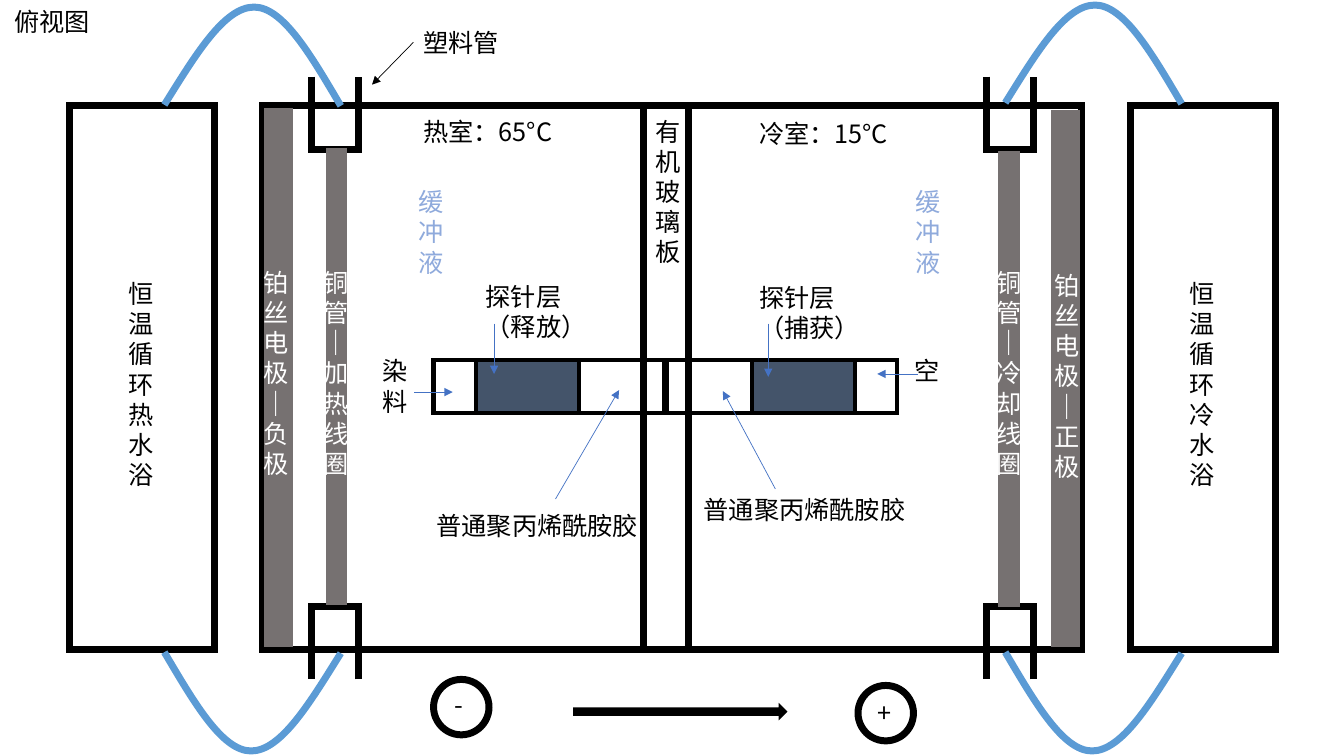
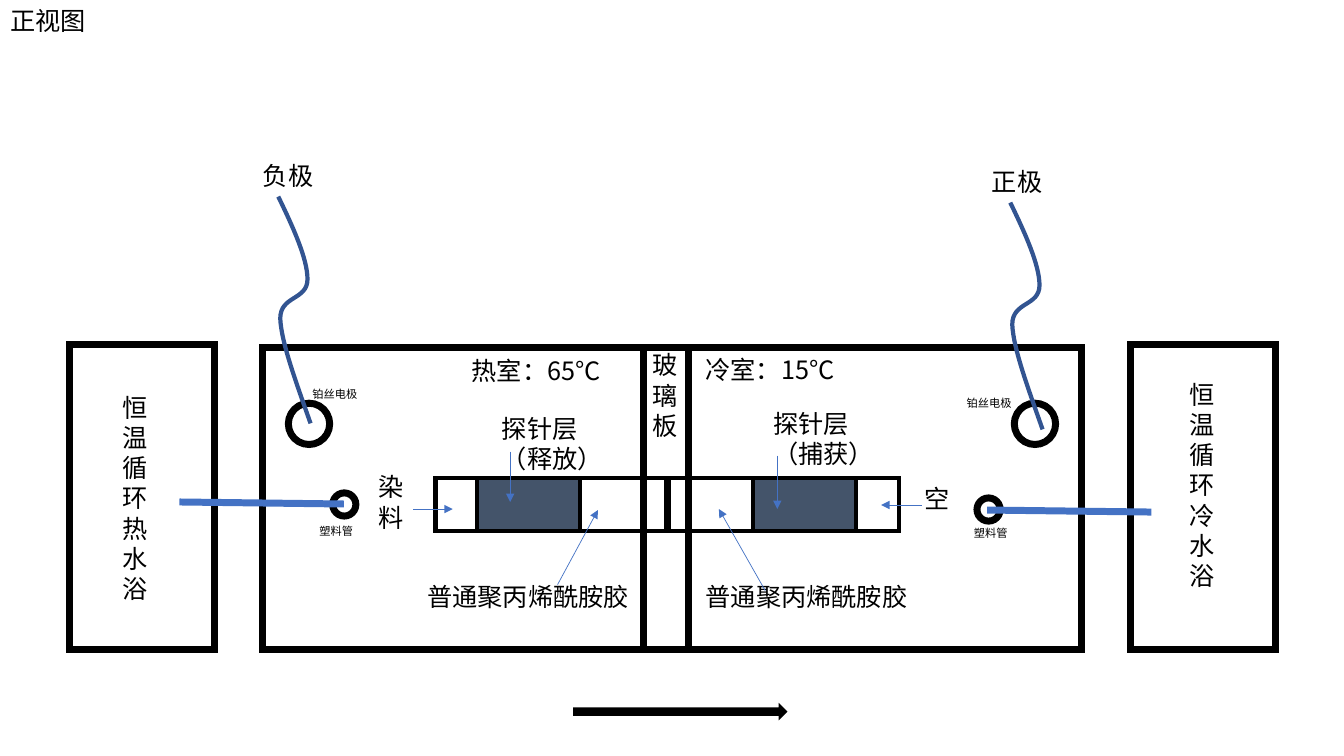
import dataclasses
import typing

import lxml.etree
import pptx
import pptx.dml.color
import pptx.enum.shapes
import pptx.enum.text
import pptx.oxml.ns
import pptx.util

PX = 9144
FONT = "Noto Sans CJK SC"
BLACK = pptx.dml.color.RGBColor(0x00, 0x00, 0x00)
WHITE = pptx.dml.color.RGBColor(0xFF, 0xFF, 0xFF)
GRAY = pptx.dml.color.RGBColor(0x76, 0x71, 0x71)
SLATE = pptx.dml.color.RGBColor(0x44, 0x54, 0x6A)
BLUE = pptx.dml.color.RGBColor(0x44, 0x72, 0xC4)
SKY = pptx.dml.color.RGBColor(0x5B, 0x9B, 0xD5)
PALE = pptx.dml.color.RGBColor(0x8F, 0xAA, 0xDC)
NAVY = pptx.dml.color.RGBColor(0x32, 0x54, 0x91)
RGB = pptx.dml.color.RGBColor
SHAPE = pptx.enum.shapes.MSO_SHAPE
Point = tuple[int, int]

ARCH = [(0, 97), (30, 49), (59, 0), (89, 0), (118, 0), (146, 49), (175, 98)]
WIRE = [(32, 225), (18, 185), (3, 145), (2, 121), (2, 98),
        (29, 103), (29, 82), (29, 62), (15, 31), (0, 0)]
PIPE = [(0, 0), (0, 72), (47, 72), (47, 0)]


@dataclasses.dataclass
class Box:
    x: int
    y: int
    w: int
    h: int
    weight: float = 5
    line: RGB = BLACK
    fill: RGB | None = None
    kind: SHAPE = SHAPE.RECTANGLE


@dataclasses.dataclass
class Label:
    text: str
    x: int
    y: int
    size: int = 18
    color: RGB = BLACK
    upright: bool = False


@dataclasses.dataclass
class Line:
    start: Point
    end: Point
    color: RGB = BLUE
    weight: float = 0.5
    arrow: bool = True


@dataclasses.dataclass
class Outline:
    points: list[Point]
    x: int
    y: int
    color: RGB = BLACK
    weight: float = 5
    curved: bool = True
    turned: bool = False


Item = Box | Label | Line | Outline


def px(n: float) -> pptx.util.Emu:
    return pptx.util.Emu(round(n * PX))


def qn(tag: str) -> str:
    return pptx.oxml.ns.qn(tag)


def write(sp: typing.Any, paragraphs: list[str], *, size: int, color: RGB) -> None:
    tf = sp.text_frame
    tf.word_wrap = False
    tf.auto_size = pptx.enum.text.MSO_AUTO_SIZE.SHAPE_TO_FIT_TEXT
    tf.vertical_anchor = pptx.enum.text.MSO_ANCHOR.TOP
    for i, text in enumerate(paragraphs):
        p = tf.add_paragraph() if i else tf.paragraphs[0]
        p.alignment = pptx.enum.text.PP_ALIGN.LEFT
        p.line_spacing = pptx.util.Pt(size * 1.2)
        p.space_before = pptx.util.Pt(0)
        r = p.add_run()
        r.text = text
        r.font.size = pptx.util.Pt(size)
        r.font.color.rgb = color
        r.font.name = FONT
        lxml.etree.SubElement(r.font._element, qn("a:ea"), typeface=FONT)


def place(sp: typing.Any, x: int, y: int, w: float, h: float) -> None:
    sp.left, sp.top, sp.width, sp.height = px(x), px(y), px(w), px(h)


def stroke(sp: typing.Any, color: RGB, weight: float) -> typing.Any:
    sp.line.color.rgb = color
    sp.line.width = pptx.util.Pt(weight)
    ln = sp._element.spPr.find(qn("a:ln"))
    lxml.etree.SubElement(ln, qn("a:miter"), lim="800000")
    return ln


def draw_box(s: typing.Any, b: Box) -> None:
    sp = s.shapes.add_shape(b.kind, px(b.x), px(b.y), px(b.w), px(b.h))
    sp.shadow.inherit = False
    stroke(sp, b.line, b.weight)
    if b.fill is None:
        sp.fill.background()
    else:
        sp.fill.solid()
        sp.fill.fore_color.rgb = b.fill


def draw_label(s: typing.Any, t: Label) -> None:
    paragraphs = list(t.text) if t.upright else t.text.split("\n")
    ems = max(sum(0.62 if ord(ch) < 256 else 1 for ch in p) for p in paragraphs)
    sp = s.shapes.add_textbox(0, 0, 0, 0)
    place(sp, t.x, t.y, 20 + ems * t.size * 1.4, 10 + len(paragraphs) * t.size * 1.68)
    write(sp, paragraphs, size=t.size, color=t.color)


def draw_line(s: typing.Any, item: Line) -> None:
    c = s.shapes.add_connector(pptx.enum.shapes.MSO_CONNECTOR.STRAIGHT,
                               *map(px, item.start + item.end))
    ln = stroke(c, item.color, item.weight)
    if item.arrow:
        lxml.etree.SubElement(ln, qn("a:tailEnd"), type="triangle")
    lxml.etree.SubElement(c._element.spPr, qn("a:effectLst"))


def bend(sp: typing.Any) -> None:
    segments = list(sp._element.iter(qn("a:lnTo")))
    outline = segments[0].getparent()
    for i in range(0, len(segments), 3):
        cubic = lxml.etree.SubElement(outline, qn("a:cubicBezTo"))
        for segment in segments[i:i + 3]:
            cubic.append(segment[0])
            outline.remove(segment)


def draw_outline(s: typing.Any, o: Outline) -> None:
    points = [(x + o.x, y + o.y) for x, y in o.points]
    fb = s.shapes.build_freeform(*points[0], scale=PX)
    fb.add_line_segments(points[1:], close=False)
    sp = fb.convert_to_shape()
    sp.shadow.inherit = False
    sp.fill.background()
    stroke(sp, o.color, o.weight)
    if o.curved:
        bend(sp)
    if o.turned:
        sp.rotation = 180


DRAW = {Box: draw_box, Label: draw_label, Line: draw_line, Outline: draw_outline}


def frame(bath_top: int, tank_top: int) -> list[Item]:
    bottom = 644
    return [
        Box(260, tank_top, 813, bottom - tank_top),
        *(Box(x, bath_top, 144, bottom - bath_top) for x in (69, 1121)),
        Box(638, tank_top, 45, bottom - tank_top),
        Box(569, 699, 211, 14, 1, fill=BLACK, kind=SHAPE.RIGHT_ARROW),
    ]


def gel(x: int, y: int, probe: int) -> list[Item]:
    return [
        *(Box(x + dx, y, 229, 53, 3) for dx in (231, 0)),
        *(Box(probe + dx, y, 102, 53, 3, fill=SLATE) for dx in (0, 274)),
    ]


def ring(x: int, y: int, d: int) -> Box:
    return Box(x, y, d, d, kind=SHAPE.OVAL)


def bar(x: int, y: int, w: int, h: int) -> Box:
    return Box(x, y, w, h, 1, GRAY, GRAY)


def add_view(prs: typing.Any, title: str, x: int, y: int, items: list[Item]) -> None:
    s = prs.slides.add_slide(prs.slide_layouts[5])
    place(s.shapes.title, x, y, 96, 40)
    write(s.shapes.title, [title], size=18, color=BLACK)
    for item in items:
        DRAW[type(item)](s, item)


TOP_VIEW: list[Item] = [
    *frame(105, 105),
    Label("恒温循环热水浴", 118, 271, upright=True),
    Label("恒温循环冷水浴", 1170, 271, upright=True),
    Label("有机玻璃板", 640, 110, upright=True),
    *(Outline(PIPE, x, y, curved=False, turned=y > 375)
      for y in (76, 602) for x in (309, 978)),
    Line((410, 42), (369, 84), BLACK),
    Label("塑料管", 410, 22),
    *(Outline(ARCH, x, y, SKY, turned=y > 375)
      for x, y in ((163, 7), (163, 647), (997, 647), (997, 5))),
    bar(324, 148, 20, 452),
    bar(991, 150, 20, 452),
    Label("铜管｜加热线圈", 311, 260, color=WHITE, upright=True),
    Label("铜管｜冷却线圈", 979, 260, color=WHITE, upright=True),
    Label("热室：65°C", 410, 110),
    Label("冷室：15°C", 743, 112),
    bar(263, 108, 27, 533),
    bar(1043, 110, 28, 531),
    Label("铂丝电极｜负极", 252, 260, color=WHITE, upright=True),
    Label("铂丝电极｜正极", 1036, 263, color=WHITE, upright=True),
    *gel(430, 357, 472),
    Label("探针层\n（释放）", 472, 274),
    Label("探针层\n（捕获）", 743, 275),
    Label("染料", 370, 348, upright=True),
    Label("普通聚丙烯酰胺胶", 688, 485),
    Label("普通聚丙烯酰胺胶", 423, 501),
    Label("空", 897, 348),
    Line((490, 321), (490, 371)),
    Line((551, 495), (614, 387)),
    Line((769, 485), (717, 388)),
    Line((762, 321), (762, 374)),
    Line((910, 371), (870, 371)),
    Line((411, 389), (449, 389)),
    ring(430, 674, 55),
    ring(851, 680, 55),
    Label("-", 441, 679),
    Label("+", 860, 687),
    *(Label("缓冲液", x, 180, color=PALE, upright=True) for x in (405, 898)),
]

FRONT_VIEW: list[Item] = [
    *frame(342, 345),
    Label("恒温循环热水浴", 112, 384, upright=True),
    Label("恒温循环冷水浴", 1170, 371, upright=True),
    Label("玻璃板", 637, 342, upright=True),
    *gel(432, 474, 473),
    Label("探针层\n（释放）", 488, 405),
    Label("探针层\n（捕获）", 757, 400),
    Label("染料", 366, 463, upright=True),
    Label("普通聚丙烯酰胺胶", 690, 572),
    Label("普通聚丙烯酰胺胶", 414, 572),
    Label("空", 907, 475),
    Line((506, 448), (506, 498)),
    Line((553, 580), (593, 506)),
    Line((759, 586), (713, 505)),
    Line((771, 452), (771, 505)),
    Line((914, 501), (874, 501)),
    Line((410, 505), (449, 505)),
    ring(330, 489, 23),
    Line((178, 498), (341, 500), weight=5, arrow=False),
    ring(969, 494, 23),
    Line((979, 506), (1142, 508), weight=5, arrow=False),
    *(ring(x, 400, 41) for x in (286, 1006)),
    Label("塑料管", 307, 515, 8),
    Label("塑料管", 956, 517, 8),
    Label("铂丝电极", 300, 379, 8),
    Label("铂丝电极", 949, 388, 8),
    Label("热室：65°C", 458, 348),
    Label("冷室：15°C", 690, 347),
    *(Outline(WIRE, x, y, NAVY, 3) for x, y in ((276, 195), (1002, 201))),
    Label("负极", 251, 154),
    Label("正极", 974, 160),
]


def main() -> None:
    prs = pptx.Presentation()
    prs.slide_width, prs.slide_height = px(1333), px(750)
    add_view(prs, "俯视图", 4, 1, TOP_VIEW)
    add_view(prs, "正视图", 0, 0, FRONT_VIEW)
    prs.save("out.pptx")


if __name__ == "__main__":
    main()
